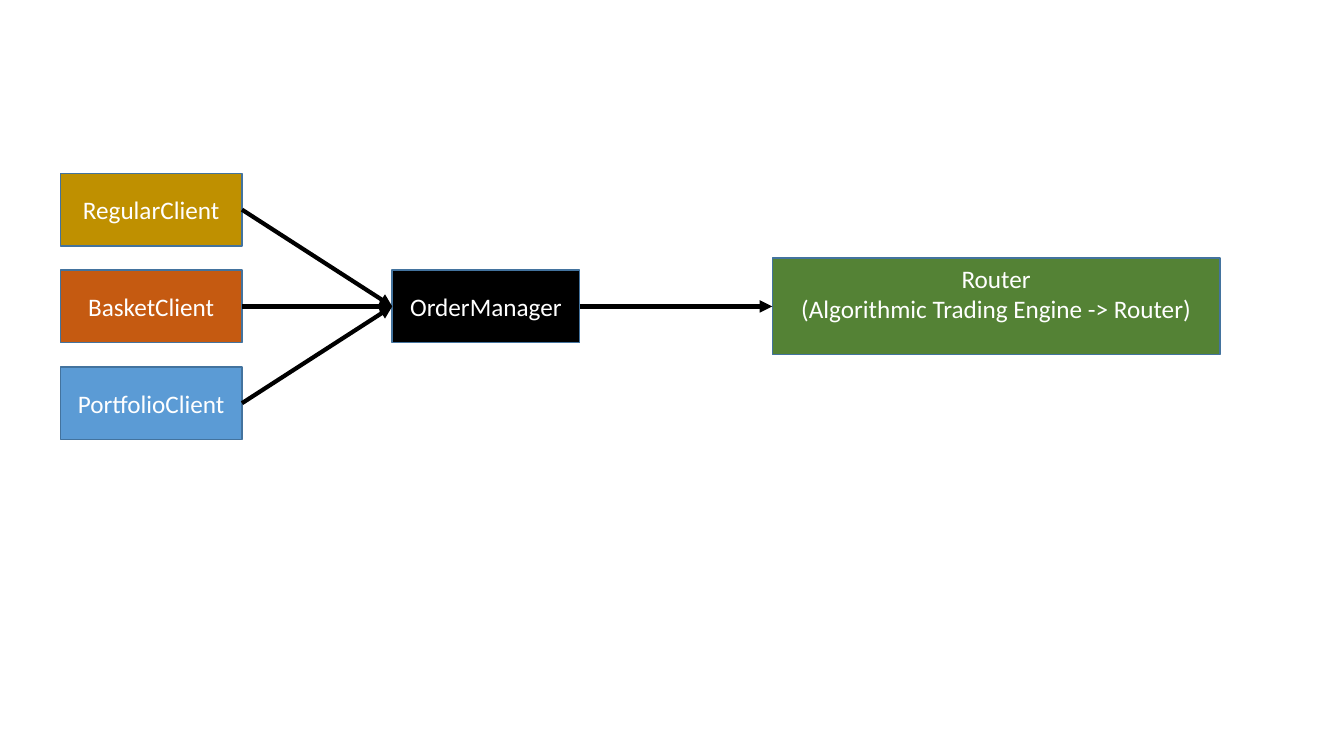
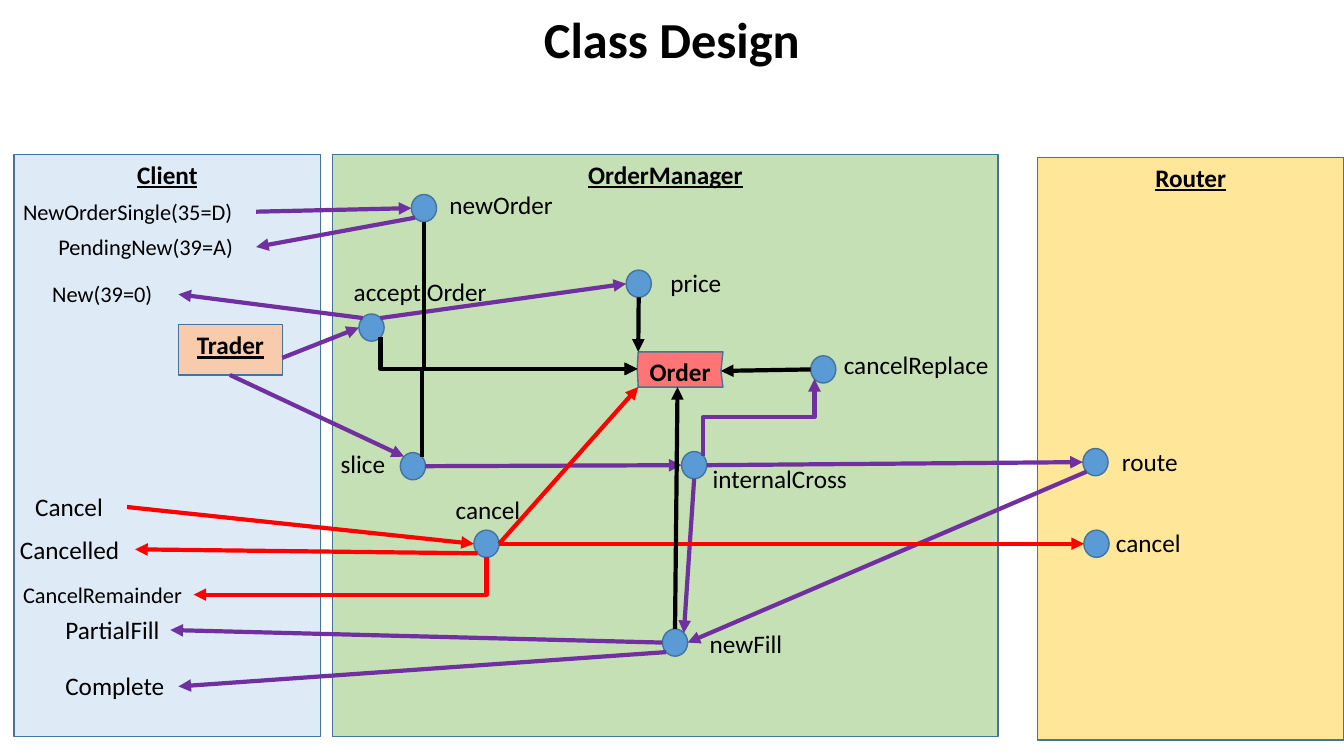
from lxml import etree
from pptx import Presentation
from pptx import util as u
from pptx.dml.color import RGBColor
from pptx.enum import shapes, text
from pptx.oxml import ns

# Shared look: a grid of 0.1 inch cells, one palette, one font
CELL = u.Inches(0.1)
FONT = "Calibri"
HUES = {
    "white": "FFFFFF", "black": "000000", "edge": "43739E", "blue": "5B9BD5",
    "gold": "BF9000", "rust": "C55A11", "green": "548235", "mint": "C5E0B4",
    "sand": "FFE699", "sky": "DEEBF7", "peach": "F8CBAD", "rose": "FF7575",
    "plum": "7030A0", "red": "FF0000",
}
RECT = shapes.MSO_SHAPE.RECTANGLE
OVAL = shapes.MSO_SHAPE.OVAL
TOP, MID = text.MSO_ANCHOR.TOP, text.MSO_ANCHOR.MIDDLE
LEFT, MIDST = text.PP_ALIGN.LEFT, text.PP_ALIGN.CENTER


def dress(shape, words="", fill=None, ink="black", size=18, bold=False,
          under=False, align=MIDST, anchor=TOP):
    """Give a shape its fill, outline and text."""
    if fill:
        shape.shadow.inherit = False
        shape.fill.solid()
        shape.fill.fore_color.rgb = RGBColor.from_string(HUES[fill])
        shape.line.color.rgb = RGBColor.from_string(HUES["edge"])
        shape.line.width = u.Pt(1)
    frame = shape.text_frame
    frame.text = words
    frame.word_wrap = True
    frame.vertical_anchor = anchor
    for para in frame.paragraphs:
        para.alignment = align
        font = para.font
        font.name, font.size, font.bold = FONT, u.Pt(size), bold
        font.underline = under
        font.color.rgb = RGBColor.from_string(HUES[ink])
    return shape


def link(slide, start, end, hue="black", bend=None):
    """Draw an arrow; a bent one leaves its start vertically."""
    (x1, y1), (x2, y2) = start, end
    turn = 0
    if bend:
        # A quarter turn about the centre swaps the two extents
        mx, my, dx, dy = (x1 + x2) / 2, (y1 + y2) / 2, x2 - x1, y2 - y1
        turn = -1 if dx > 0 and dy > 0 else 1
        x1, x2 = mx - turn * dy / 2, mx + turn * dy / 2
        y1, y2 = my + turn * dx / 2, my - turn * dx / 2
    kind = shapes.MSO_CONNECTOR.ELBOW if bend else shapes.MSO_CONNECTOR.STRAIGHT
    line = slide.shapes.add_connector(kind, *(int(v * CELL) for v in (x1, y1, x2, y2)))
    line.line.color.rgb = RGBColor.from_string(HUES[hue])
    line.line.width = u.Pt(3)
    props = line._element.spPr
    if bend:
        props.find(ns.qn("a:xfrm")).set("rot", str(turn % 4 * 5400000))
        props.find(ns.qn("a:prstGeom")).set("prst", bend)
    etree.SubElement(props.find(ns.qn("a:ln")), ns.qn("a:tailEnd"), type="triangle")
    etree.SubElement(props, ns.qn("a:effectLst"))
    return line


deck = Presentation()
deck.slide_width, deck.slide_height = u.Inches(13.33), u.Inches(7.5)

# Slide 1: clients, manager and router
flow = deck.slides.add_slide(deck.slide_layouts[6])
steps = [
    ("RegularClient", "gold", 6, 17.2, 18, 7.2, MID),
    ("BasketClient", "rust", 6, 26.8, 18, 7.2, MID),
    ("PortfolioClient", "blue", 6, 36.4, 18, 7.2, MID),
    ("OrderManager", "black", 38.9, 26.8, 18.6, 7.2, MID),
    ("Router\n(Algorithmic Trading Engine -> Router)", "green", 76.6, 25.6, 44.4, 9.6, TOP),
]
boxes = []
for words, fill, x, y, w, h, anchor in steps:
    box = flow.shapes.add_shape(RECT, *(int(v * CELL) for v in (x, y, w, h)))
    boxes.append(dress(box, words, fill, "white", anchor=anchor))
*clients, desk, router = boxes
for src, dest in [(c, desk) for c in clients] + [(desk, router)]:
    arrow = link(flow, (0, 0), (1, 1))
    arrow.begin_connect(src, 3)
    arrow.end_connect(dest, 1)

# Slide 2: title
design = deck.slides.add_slide(deck.slide_layouts[5])
title = design.shapes.title
title.left, title.top = 0, 0
title.width, title.height = deck.slide_width, u.Inches(0.83)
dress(title, "Class Design", size=36, bold=True, anchor=MID)
title.text_frame.paragraphs[0].line_spacing = 0.9

# Panels and the trader
for words, fill, x, y, w, h in [
    ("OrderManager", "mint", 33, 15.3, 66, 57.8),
    ("Router", "sand", 102.9, 15.6, 30.4, 57.8),
    ("Client", "sky", 1.4, 15.3, 30.4, 57.8),
    ("Trader", "peach", 17.7, 32.2, 10.3, 5),
]:
    panel = design.shapes.add_shape(RECT, *(int(v * CELL) for v in (x, y, w, h)))
    dress(panel, words, fill, bold=True, under=True)

# Order: a box with pinched sides
rim = [(63.3, 34.9), (71.7, 34.9), (71.5, 36.8), (71.7, 38.4), (63.3, 38.4), (63.2, 36.5)]
pen = design.shapes.build_freeform(*(int(v * CELL) for v in rim[0]))
pen.add_line_segments([(int(x * CELL), int(y * CELL)) for x, y in rim[1:]])
dress(pen.convert_to_shape(), "Order", "rose", bold=True)

# Methods: key, label, dot centre, label left, top and width
nodes = [
    ("new", "newOrder", 42.05, 20.65, 43.6, 18.3, 12.6),
    ("accept", "accept Order", 36.85, 32.5, 34.1, 26.9, 16.1),
    ("price", "price", 63.35, 28.15, 65.5, 26, 7.5),
    ("replace", "cancelReplace", 81.65, 36.65, 82.7, 34.2, 17.5),
    ("slice", "slice", 40.95, 46.25, 32.8, 44, 6.6),
    ("cross", "internalCross", 68.85, 46.15, 69.7, 45.5, 15.7),
    ("cancel", "cancel", 48.25, 53.95, 44.2, 48.6, 9.5),
    ("fill", "newFill", 66.95, 63.75, 69.4, 61.8, 9.6),
    ("route", "route", 108.65, 45.85, 110.3, 43.8, 9.6),
    ("drop", "cancel", 108.75, 53.95, 109.7, 51.8, 9.6),
]
sides = {"N": (0, -1), "S": (0, 1), "W": (-1, 0), "E": (1, 0),
         "NW": (-0.7, -0.7), "NE": (0.7, -0.7), "SW": (-0.7, 0.7), "SE": (0.7, 0.7)}
RX, RY = 1.25, 1.35
spots, notes = {}, []
for key, words, x, y, *place in nodes:
    rect = (x - RX, y - RY, 2 * RX, 2 * RY)
    dress(design.shapes.add_shape(OVAL, *(int(v * CELL) for v in rect)), fill="blue")
    notes.append((words, 18, *place))
    for side, (dx, dy) in sides.items():
        spots[f"{key} {side}"] = (x + dx * RX, y + dy * RY)

# Labels: methods, then client messages
notes += [
    ("NewOrderSingle(35=D)", 16, 1.3, 19.2, 24.1),
    ("PendingNew(39=A)", 16, 4.8, 22.6, 20.6),
    ("New(39=0)", 16, 4.2, 27.3, 13.4),
    ("Cancel", 18, 2.5, 48.3, 10.1),
    ("Cancelled", 18, 1, 52.5, 12.4),
    ("CancelRemainder", 16, 1.3, 57.2, 18.5),
    ("PartialFill", 18, 5.5, 60.5, 11.6),
    ("Complete", 18, 5.5, 66, 12.4),
]
for words, size, x, y, w in notes:
    h = 4 if size == 18 else 3.7
    note = design.shapes.add_textbox(*(int(v * CELL) for v in (x, y, w, h)))
    dress(note, words, size=size, align=LEFT)

# Ends of arrows that are not on a dot
spots.update({
    "single": (25.4, 21), "pending": (25.4, 24.5), "ack": (17.7, 29.2),
    "trader E": (28, 35.5), "trader S": (22.8, 37.2), "ask": (12.6, 50.3),
    "gone": (13.4, 54.5), "rest": (19.2, 59), "part": (16.9, 62.5),
    "done": (17.7, 68.1), "order N": (63.3, 34.9), "order W": (63.2, 36.6),
    "order SW": (63.3, 38.4), "order S": (67.2, 38.4), "order E": (71.5, 36.8),
})
ELL, ZED = "bentConnector2", "bentConnector3"
for src, dest, hue, bend in [
    ("single", "new W", "plum", None),
    ("new SW", "pending", "plum", None),
    ("accept NW", "ack", "plum", None),
    ("accept NE", "price W", "plum", None),
    ("trader E", "accept W", "plum", None),
    ("trader S", "slice NW", "plum", None),
    ("slice E", "cross W", "plum", None),
    ("cross E", "route W", "plum", None),
    ("cross NE", "replace SW", "plum", ZED),
    ("cross S", "fill NE", "plum", None),
    ("route SW", "fill E", "plum", None),
    ("fill W", "part", "plum", None),
    ("fill SW", "done", "plum", None),
    ("ask", "cancel W", "red", None),
    ("cancel SW", "gone", "red", None),
    ("cancel S", "rest", "red", ELL),
    ("cancel E", "drop W", "red", None),
    ("cancel E", "order SW", "red", None),
    ("price S", "order N", "black", None),
    ("accept SE", "order W", "black", ELL),
    ("new S", "order W", "black", ELL),
    ("slice NE", "order W", "black", ELL),
    ("replace W", "order E", "black", None),
    ("fill N", "order S", "black", None),
]:
    link(design, spots[src], spots[dest], hue, bend)

deck.save("out.pptx")
